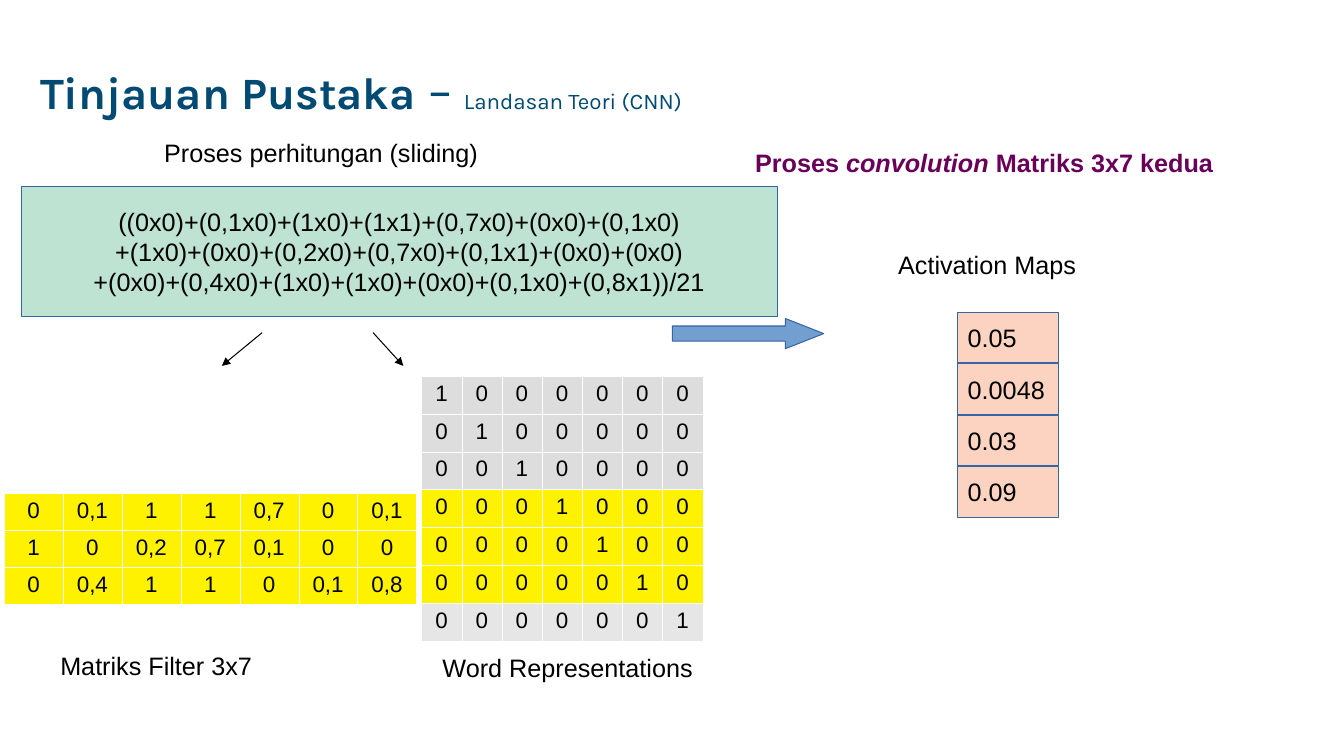
from lxml import etree
from pptx import Presentation
from pptx.dml.color import RGBColor
from pptx.enum import shapes, text
from pptx.oxml.ns import qn
from pptx.util import Inches, Pt

NAVY = RGBColor(0x01, 0x4A, 0x73)
PLUM = RGBColor(0x68, 0x00, 0x59)
BLACK = RGBColor(0, 0, 0)
MINT = RGBColor(0xBE, 0xE3, 0xD3)
PEACH = RGBColor(0xFC, 0xD3, 0xC1)
BLUE = RGBColor(0x72, 0x9F, 0xCF)
EDGE = RGBColor(0x34, 0x65, 0xA4)
YELLOW = RGBColor(0xFF, 0xF2, 0x00)
GRAY = RGBColor(0xDD, 0xDD, 0xDD)
PALE = RGBColor(0xE6, 0xE6, 0xE6)

CENTER = text.PP_ALIGN.CENTER
LEFT = text.PP_ALIGN.LEFT
SHAPE = shapes.MSO_SHAPE

FILTER = ["0 0,1 1 1 0,7 0 0,1", "1 0 0,2 0,7 0,1 0 0", "0 0,4 1 1 0 0,1 0,8"]
SUMS = [
    "((0x0)+(0,1x0)+(1x0)+(1x1)+(0,7x0)+(0x0)+(0,1x0)",
    "+(1x0)+(0x0)+(0,2x0)+(0,7x0)+(0,1x1)+(0x0)+(0x0)",
    "+(0x0)+(0,4x0)+(1x0)+(1x0)+(0x0)+(0,1x0)+(0,8x1))/21",
]


def set_font(font, size, color=BLACK, name="Arial", bold=False):
    font.size, font.name, font.bold = Pt(size), name, bold
    font.color.rgb = color


def add_label(slide, box, words, **style):
    """Text box of one paragraph; words is a list of runs."""
    frame = slide.shapes.add_textbox(*map(Inches, box)).text_frame
    frame.word_wrap = True
    para = frame.paragraphs[0]
    for word in words:
        para.add_run().text = word
    set_font(para.font, 18, **style)
    return frame


def add_block(slide, kind, box, fill, lines=(), align=LEFT):
    block = slide.shapes.add_shape(kind, *map(Inches, box))
    block.shadow.inherit = False
    block.fill.solid()
    block.fill.fore_color.rgb = fill
    block.line.color.rgb = EDGE
    block.line.width = Pt(0.75)
    frame = block.text_frame
    frame.vertical_anchor = text.MSO_ANCHOR.MIDDLE
    if lines:
        frame.text = "\n".join(lines)
    for para in frame.paragraphs:
        para.alignment = align
        set_font(para.font, 18)
    return block


def add_arrow(slide, start, end):
    arrow = slide.shapes.add_connector(
        shapes.MSO_CONNECTOR.STRAIGHT, *map(Inches, start + end))
    arrow.line.color.rgb = BLACK
    arrow.line.width = Pt(0.75)
    line = arrow.line._get_or_add_ln()
    etree.SubElement(line, qn("a:tailEnd"), type="triangle")
    etree.SubElement(arrow._element.spPr, qn("a:effectLst"))


def set_edges(cell):
    props = cell._tc.get_or_add_tcPr()
    for side in "LRTB":
        edge = etree.SubElement(props, qn("a:ln" + side), w=str(Pt(0.06)))
        fill = etree.SubElement(edge, qn("a:solidFill"))
        etree.SubElement(fill, qn("a:srgbClr"), val="FFFFFF")


def add_grid(slide, box, rows, fills):
    """Matrix with equal rows and columns and one fill per row."""
    grid = slide.shapes.add_table(
        len(rows), len(rows[0]), *map(Inches, box)).table
    for y, row in enumerate(rows):
        for x, value in enumerate(row):
            cell = grid.cell(y, x)
            set_edges(cell)
            cell.fill.solid()
            cell.fill.fore_color.rgb = fills[y]
            cell.text = value
            para = cell.text_frame.paragraphs[0]
            para.alignment = CENTER
            set_font(para.font, 16)


def add_title(slide):
    frame = add_label(slide, (0.3, 0.2, 7.5, 1.45),
                      ["Tinjauan Pustaka", " – ", "Landasan Teori (CNN)"],
                      color=NAVY, name="Karla")
    frame.vertical_anchor = text.MSO_ANCHOR.MIDDLE
    para = frame.paragraphs[0]
    para.line_spacing = 0.9
    for run, size in zip(para.runs, (32, 36, 16)):
        set_font(run.font, size, NAVY, "Karla", size == 32)


def main():
    deck = Presentation()
    deck.slide_width, deck.slide_height = Inches(13.33), Inches(7.5)
    slide = deck.slides.add_slide(deck.slide_layouts[6])

    add_title(slide)

    # Word matrix: one-hot rows, with the current window in yellow
    words = [["1" if x == y else "0" for x in range(7)] for y in range(7)]
    add_grid(slide, (4.18, 3.73, 2.79, 2.63), words,
             [GRAY] * 3 + [YELLOW] * 3 + [PALE])

    # Calculation and its arrows
    add_block(slide, SHAPE.RECTANGLE, (0.21, 1.85, 7.5, 1.29), MINT, SUMS, CENTER)
    arrow = add_block(slide, SHAPE.RIGHT_ARROW, (6.67, 3.16, 1.5, 0.3), BLUE)
    arrow.adjustments[0], arrow.adjustments[1] = 0.5, 1.27
    add_arrow(slide, (2.6, 3.3), (2.2, 3.63))
    add_arrow(slide, (3.7, 3.3), (4, 3.63))

    # Filter matrix
    add_grid(slide, (0.04, 4.89, 4.09, 1.05),
             [row.split() for row in FILTER], [YELLOW] * 3)

    # Labels
    for box, words in [
        ((0.5, 6.4, 2.4, 0.38), "Matriks Filter 3x7"),
        ((4.29, 6.42, 3.18, 0.38), "Word Representations"),
        ((1.53, 1.31, 3.9, 0.38), "Proses perhitungan (sliding)"),
        ((8.81, 2.42, 2.27, 0.38), "Activation Maps"),
    ]:
        add_label(slide, box, [words])
    head = add_label(slide, (7.39, 1.41, 5.71, 0.66),
                     ["Proses ", "convolution", " Matriks 3x7 kedua"],
                     color=PLUM, bold=True)
    head.paragraphs[0].runs[1].font.italic = True

    # Activation maps
    for i, value in enumerate(["0.05", "0.0048", "0.03", "0.09"]):
        add_block(slide, SHAPE.RECTANGLE, (9.5, 3.1 + 0.51 * i, 1, 0.5),
                  PEACH, [value])

    deck.save("out.pptx")


if __name__ == "__main__":
    main()
